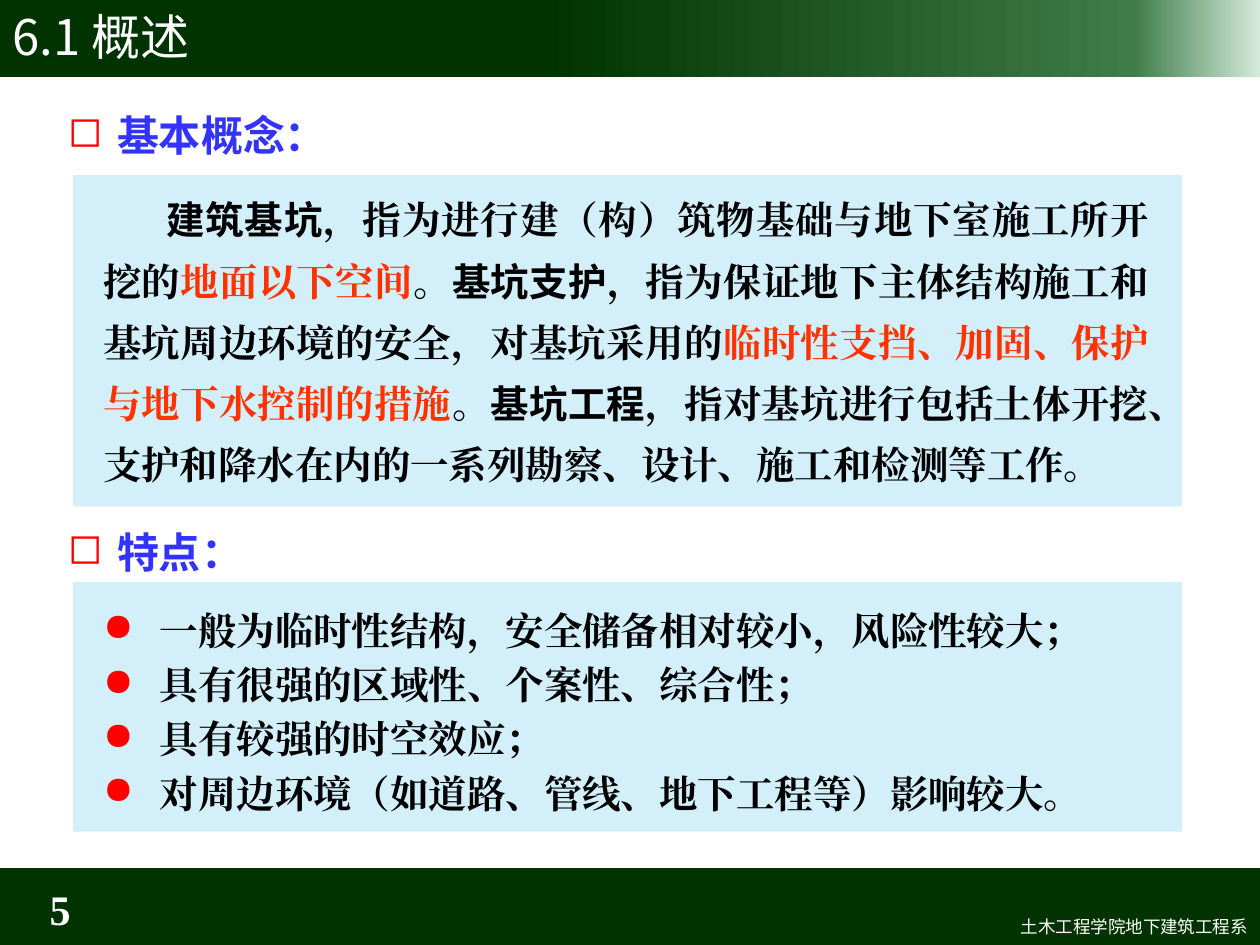
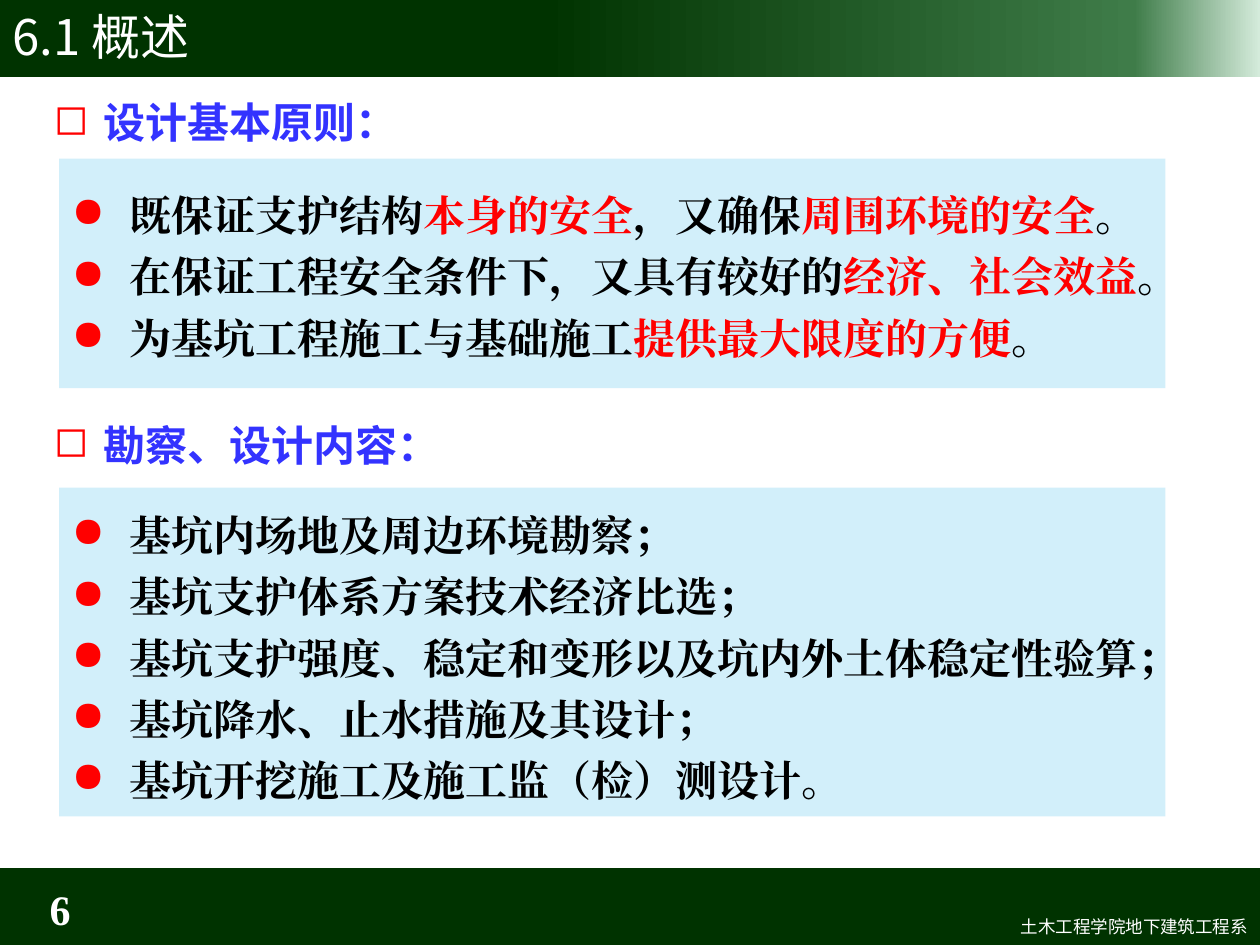
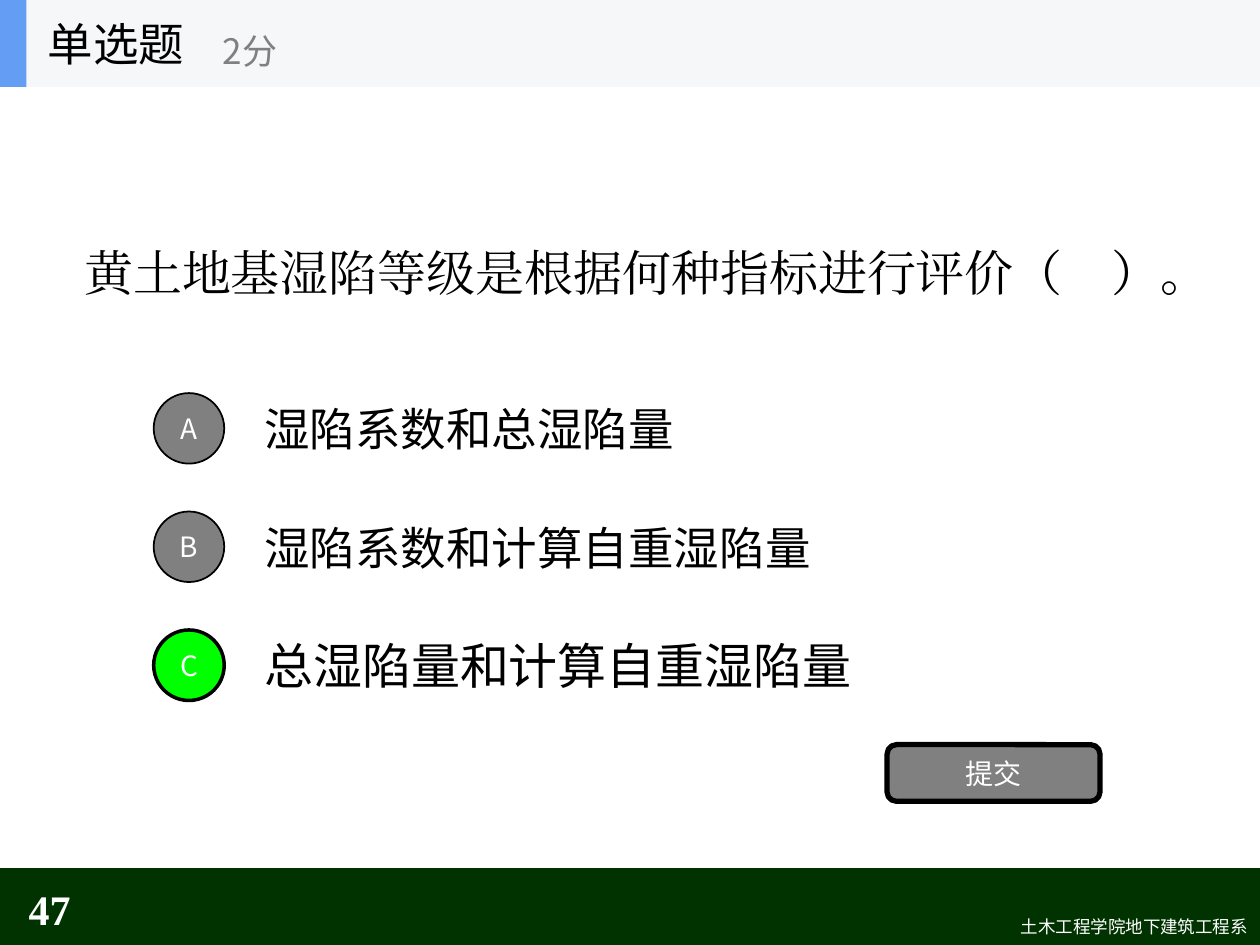
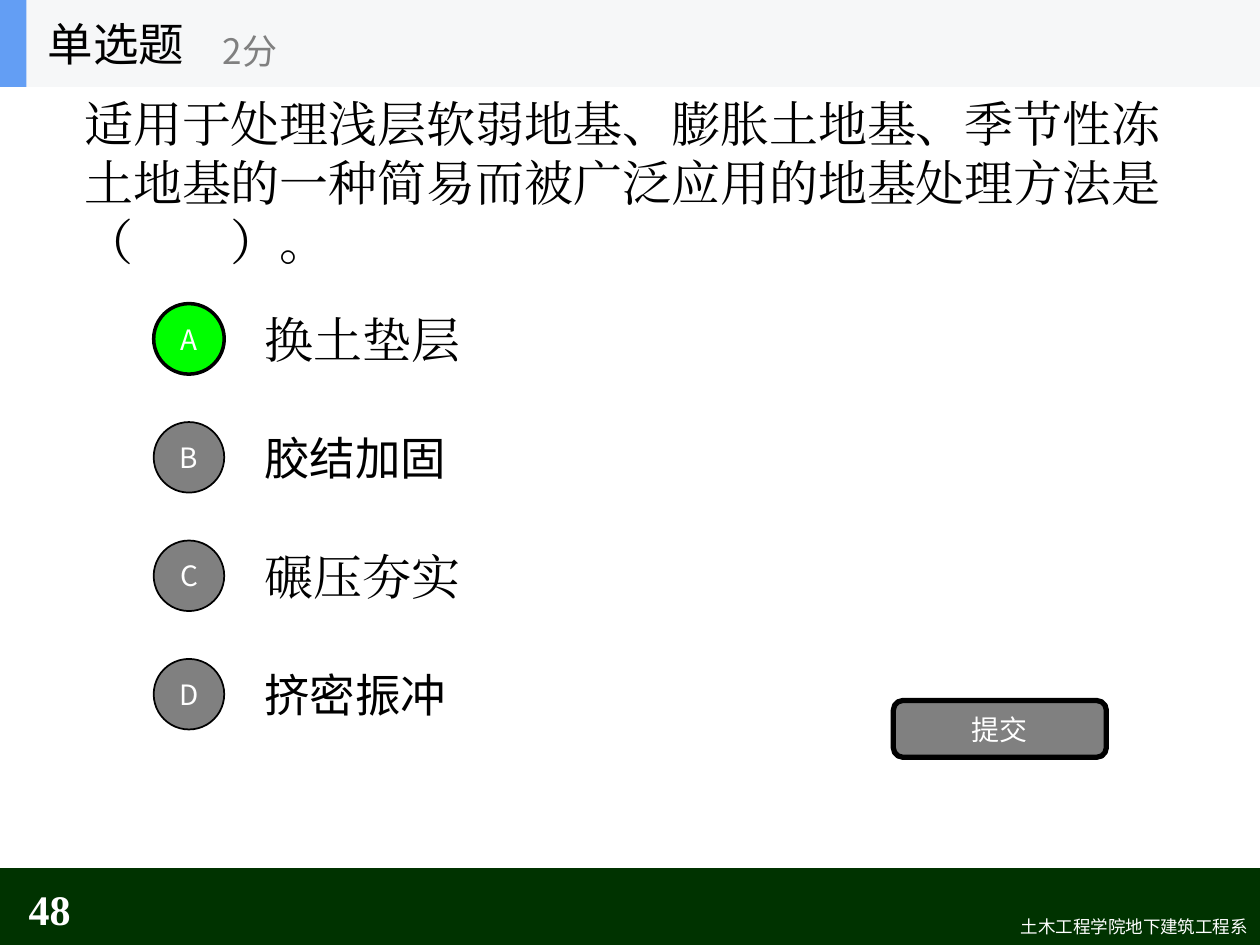
from lxml.etree import SubElement
from pptx import Presentation
from pptx.dml.color import RGBColor
from pptx.enum.shapes import MSO_SHAPE
from pptx.enum.text import MSO_ANCHOR, MSO_AUTO_SIZE, PP_ALIGN
from pptx.oxml.ns import qn
from pptx.util import Pt

PX = 9144  # EMU per px, 100 px to the inch
WIDTH, HEIGHT = 1000, 750
TITLE_ONLY = 5
SANS, SERIF = "Noto Sans CJK SC", "Times New Roman"

COLORS = {
    "band": "003300", "band_mid": "3F7C49", "band_end": "D4EBDB",
    "panel": "D2EFFA", "heading": "3333FF", "red": "FF0000", "orange": "FF3300",
    "quiz_bar": "F6F7F8", "quiz_accent": "639EF4", "gray": "808080",
    "correct": "00FF00", "black": "000000", "white": "FFFFFF",
}
BAND_STOPS = [(43, "band"), (90, "band_mid"), (100, "band_end")]

LECTURE_TITLE = {"name": SANS, "size": 28, "color": "white"}
QUIZ_TITLE = {"name": SANS, "size": 26, "color": "black"}
POINTS = {"name": SANS, "size": 20, "color": "gray"}
FOOTER = {"name": SANS, "size": 10, "color": "white"}
PAGE_NUMBER = {"name": SERIF, "size": 24, "color": "white", "bold": True}
HEADING = {"name": SANS, "size": 24, "color": "heading", "bold": True}
BODY_22 = {"name": SERIF, "size": 22, "color": "black", "bold": True}
BODY_24 = {**BODY_22, "size": 24}
QUESTION = {"name": SERIF, "size": 28, "color": "black"}
BUTTON = {"name": SANS, "size": 16, "color": "white"}

SANS_RUN = {"name": SANS}
RED = {"color": "red"}
ORANGE = {"color": "orange"}

MIDDLE = {"vertical_anchor": MSO_ANCHOR.MIDDLE}
LEFT = {"alignment": PP_ALIGN.LEFT}
RIGHT = {"alignment": PP_ALIGN.RIGHT}
CENTER = {"alignment": PP_ALIGN.CENTER}
JUSTIFIED = {"alignment": PP_ALIGN.JUSTIFY}
FIXED_LINES = {"line_spacing": Pt(35)}


def rgb(color):
    return RGBColor.from_string(COLORS[color])


def emu(*lengths):
    return [length * PX for length in lengths]


def apply(target, values):
    for name, value in values.items():
        setattr(target, name, value)


def format_run(run, look):
    """Set the font of a run for Latin and East Asian text alike."""
    look = dict(look)
    run.font.color.rgb = rgb(look.pop("color"))
    look["size"] = Pt(look["size"])
    apply(run.font, look)
    latin = run.font._element.find(qn("a:latin"))
    east_asian = latin.makeelement(qn("a:ea"), {"typeface": look["name"]})
    latin.addnext(east_asian)


def set_indent(paragraph, margin, first_line, bullet=None):
    properties = paragraph._p.get_or_add_pPr()
    properties.set("marL", str(margin * PX))
    properties.set("indent", str(first_line * PX))
    if bullet:
        bullet_color = SubElement(properties, qn("a:buClr"))
        SubElement(bullet_color, qn("a:srgbClr"), val=COLORS["red"])
        SubElement(properties, qn("a:buChar"), char=bullet)


def write(shape, paragraphs, look, frame=None, layout=None, indent=None, gap=0):
    """Fill a shape; a paragraph is a list of strings or (string, changes) pairs."""
    text_frame = shape.text_frame
    apply(text_frame, {"word_wrap": True, "auto_size": MSO_AUTO_SIZE.NONE,
                       **(frame or {})})
    for index, runs in enumerate(paragraphs):
        paragraph = text_frame.add_paragraph() if index else text_frame.paragraphs[0]
        apply(paragraph, layout or {})
        if index and gap:
            paragraph.space_before = Pt(gap)
        if indent:
            set_indent(paragraph, *indent)
        for part in runs:
            text, changes = (part, {}) if isinstance(part, str) else part
            run = paragraph.add_run()
            run.text = text
            format_run(run, {**look, **changes})


def add_text(slide, box, paragraphs, look, **options):
    write(slide.shapes.add_textbox(*emu(*box)), paragraphs, look, **options)


def add_block(slide, box, color, kind=MSO_SHAPE.RECTANGLE, outline=0):
    block = slide.shapes.add_shape(kind, *emu(*box))
    block.shadow.inherit = False
    block.fill.solid()
    block.fill.fore_color.rgb = rgb(color)
    if outline:
        block.line.color.rgb = rgb("black")
        block.line.width = Pt(outline)
    else:
        block.line.fill.background()
    return block


def set_gradient(block, stops):
    block.fill.gradient()
    block.fill.gradient_angle = 0
    stop_list = block._element.spPr.find(".//" + qn("a:gsLst"))
    stop_list.clear()
    for percent, color in stops:
        stop = SubElement(stop_list, qn("a:gs"), pos=str(percent * 1000))
        SubElement(stop, qn("a:srgbClr"), val=COLORS[color])


def place_title(slide, box, text, look):
    """Format the title placeholder and lift it above its band."""
    title = slide.shapes.title
    apply(title, dict(zip(("left", "top", "width", "height"), emu(*box))))
    write(title, [[text]], look, frame=MIDDLE, layout=LEFT)
    slide.shapes._spTree.append(title._element)


def add_footer(slide, number):
    top = 689
    add_block(slide, (0, top, WIDTH, 64), "band")
    add_text(slide, (421, top + 33, 579, 27), [["土木工程学院地下建筑工程系"]],
             FOOTER, layout=RIGHT)
    add_text(slide, (0, top + 12, 66, 40), [[str(number)]], PAGE_NUMBER,
             frame=MIDDLE, layout=RIGHT)


def new_slide(deck, number):
    slide = deck.slides.add_slide(deck.slide_layouts[TITLE_ONLY])
    add_footer(slide, number)
    return slide


def lecture_slide(deck, number):
    slide = new_slide(deck, number)
    band = add_block(slide, (0, -3, WIDTH, 64), "band")
    set_gradient(band, BAND_STOPS)
    place_title(slide, (0, -3, WIDTH, 63), "6.1 概述", LECTURE_TITLE)
    return slide


def add_section(slide, panel, heading, rise, text_box, paragraphs, look, **options):
    """Heading `rise` px above a tinted panel; text_box is relative to the panel."""
    left, top = panel[:2]
    add_block(slide, panel, "panel")
    add_text(slide, (left - 14, top - rise, 402, 50), [[heading]], HEADING,
             indent=(39, -39, "◻"))
    dx, dy, width, height = text_box
    add_text(slide, (left + dx, top + dy, width, height), paragraphs, look, **options)


def add_concept_slide(deck):
    slide = lecture_slide(deck, 5)
    definition = [
        ("建筑基坑", SANS_RUN),
        "，指为进行建（构）筑物基础与地下室施工所开挖的",
        ("地面以下空间", ORANGE),
        "。",
        ("基坑支护", SANS_RUN),
        "，指为保证地下主体结构施工和基坑周边环境的安全，对基坑采用的",
        ("临时性支挡、加固、保护与地下水控制的措施", ORANGE),
        "。",
        ("基坑工程", SANS_RUN),
        "，指对基坑进行包括土体开挖、支护和降水在内的一系列勘察、设计、施工和检测等工作。",
    ]
    features = [
        ["一般为临时性结构，安全储备相对较小，风险性较大；"],
        ["具有很强的区域性、个案性、综合性；"],
        ["具有较强的时空效应；"],
        ["对周边环境（如道路、管线、地下工程等）影响较大。"],
    ]
    add_section(slide, (58, 139, 880, 263), "基本概念：", 57, (14, 0, 850, 256),
                [definition], BODY_22, layout={**JUSTIFIED, **FIXED_LINES},
                indent=(0, 50))
    add_section(slide, (58, 462, 880, 198), "特点：", 49, (14, 11, 858, 207),
                features, BODY_22, layout={**JUSTIFIED, "line_spacing": 1.1},
                indent=(45, -45, "●"), gap=2)


def add_design_slide(deck):
    slide = lecture_slide(deck, 6)
    principles = [
        ["既保证支护结构", ("本身的安全", RED), "，又确保", ("周围环境的安全", RED), "。"],
        ["在保证工程安全条件下，又具有较好的", ("经济、社会效益", RED), "。"],
        ["为基坑工程施工与基础施工", ("提供最大限度的方便", RED), "。"],
    ]
    contents = [
        ["基坑内场地及周边环境勘察；"],
        ["基坑支护体系方案技术经济比选；"],
        ["基坑支护强度、稳定和变形以及坑内外土体稳定性验算；"],
        ["基坑降水、止水措施及其设计；"],
        ["基坑开挖施工及施工监（检）测设计。"],
    ]
    bullets = {"layout": FIXED_LINES, "indent": (46, -46, "●")}
    add_section(slide, (47, 126, 878, 182), "设计基本原则：", 54, (0, 11, 907, 153),
                principles, BODY_24, **bullets)
    add_section(slide, (47, 387, 878, 261), "勘察、设计内容：", 59, (0, 4, 907, 251),
                contents, BODY_24, **bullets)


def add_quiz_header(slide):
    height = 69
    add_block(slide, (0, 0, WIDTH, height), "quiz_bar")
    add_block(slide, (0, 0, 21, height), "quiz_accent")
    place_title(slide, (28, 0, 208, height), "单选题", QUIZ_TITLE)
    add_text(slide, (167, 12, 250, 56), [["2分"]], POINTS, frame=MIDDLE)


def add_option(slide, top, letter, answer, look, correct):
    add_text(slide, (200, top, 700, 70), [[answer]], {**QUESTION, **look}, frame=MIDDLE)
    badge = add_block(slide, (122, top + 7, 56, 56), "correct" if correct else "gray",
                      MSO_SHAPE.OVAL, outline=2 if correct else 1)
    write(badge, [[letter]], BUTTON, frame=MIDDLE, layout=CENTER)


def add_quiz_slide(deck, number, top, question, options, correct, submit_at):
    slide = new_slide(deck, number)
    add_quiz_header(slide)
    add_text(slide, (57, top, 886, 141), [[question]], QUESTION, frame=MIDDLE)
    for row, (letter, (answer, look)) in enumerate(zip("ABCD", options)):
        add_option(slide, top + 160 + 94 * row, letter, answer, look, letter == correct)
    submit = add_block(slide, (*submit_at, 169, 45), "gray",
                       MSO_SHAPE.ROUNDED_RECTANGLE, outline=3)
    write(submit, [["提交"]], BUTTON, frame=MIDDLE, layout=CENTER)


def main():
    deck = Presentation()
    deck.slide_width, deck.slide_height = emu(WIDTH, HEIGHT)
    add_concept_slide(deck)
    add_design_slide(deck)
    small = {"name": SANS, "size": 26}
    add_quiz_slide(
        deck, 47, 145, "黄土地基湿陷等级是根据何种指标进行评价（　）。",
        [("湿陷系数和总湿陷量", small), ("湿陷系数和计算自重湿陷量", small),
         ("总湿陷量和计算自重湿陷量", SANS_RUN)],
        "C", (704, 591))
    add_quiz_slide(
        deck, 48, 74,
        "适用于处理浅层软弱地基、膨胀土地基、季节性冻土地基的一种简易而被广泛应用的地基处理方法是（　　）。",
        [("换土垫层", {}), ("胶结加固", small), ("碾压夯实", {}), ("挤密振冲", small)],
        "A", (709, 556))
    deck.save("out.pptx")


if __name__ == "__main__":
    main()
